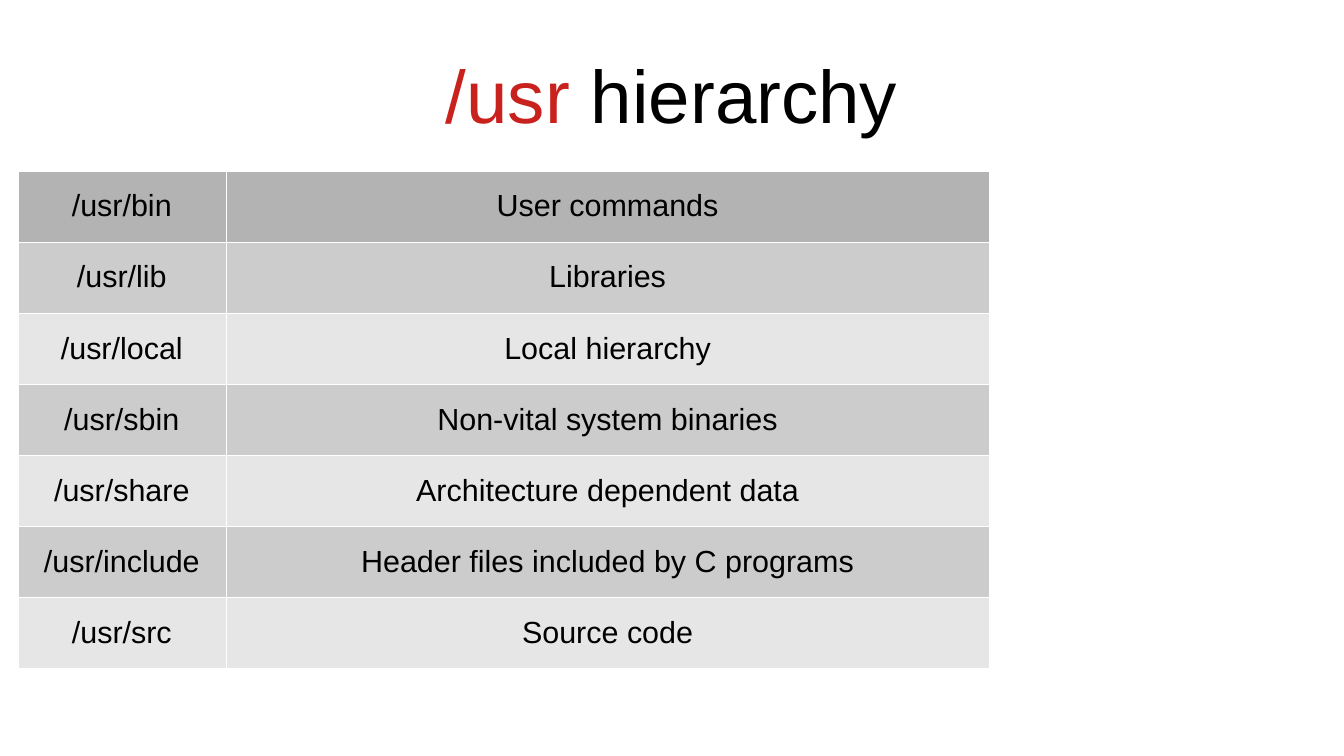
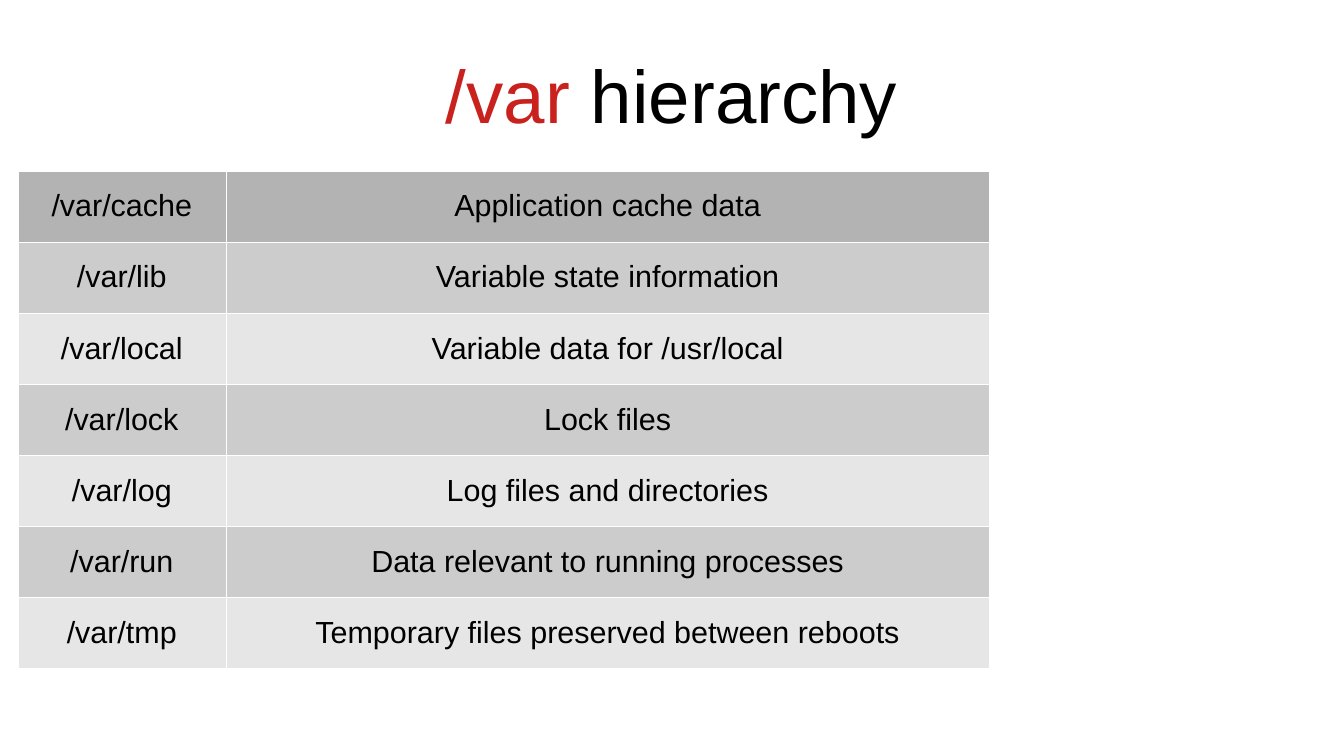
from dataclasses import dataclass
from typing import Any

from lxml.etree import SubElement
from pptx import Presentation
from pptx.dml.color import RGBColor
from pptx.enum.text import MSO_ANCHOR, PP_ALIGN
from pptx.oxml.ns import qn
from pptx.slide import Slide
from pptx.util import Pt

# Colours
RED = RGBColor(0xC9, 0x21, 0x1E)
BLACK = RGBColor(0, 0, 0)
WHITE = RGBColor(0xFF, 0xFF, 0xFF)
HEAD = RGBColor(0xB3, 0xB3, 0xB3)
BANDS = (RGBColor(0xE6, 0xE6, 0xE6), RGBColor(0xCC, 0xCC, 0xCC))

# Shared text formats and sizes
TITLE = {"name": "Arial", "size": Pt(44)}
BODY = {"name": "Arial", "size": Pt(18)}
INSETS = {"margin_left": Pt(7.2), "margin_right": Pt(7.2),
          "margin_top": Pt(3.6), "margin_bottom": Pt(3.6),
          "vertical_anchor": MSO_ANCHOR.MIDDLE}
FRAME = {"margin_left": 0, "margin_right": 0, "margin_top": 0,
         "margin_bottom": 0, "word_wrap": True,
         "vertical_anchor": MSO_ANCHOR.MIDDLE}
COLS = (Pt(123.1), Pt(450.7))
ROW = Pt(42)
LINE = Pt(0.06)


@dataclass(frozen=True)
class Page:
    root: str
    rows: tuple[tuple[str, str], ...]


PAGES = (
    Page("/usr", (
        ("bin", "User commands"),
        ("lib", "Libraries"),
        ("local", "Local hierarchy"),
        ("sbin", "Non-vital system binaries"),
        ("share", "Architecture dependent data"),
        ("include", "Header files included by C programs"),
        ("src", "Source code"),
    )),
    Page("/var", (
        ("cache", "Application cache data"),
        ("lib", "Variable state information"),
        ("local", "Variable data for /usr/local"),
        ("lock", "Lock files"),
        ("log", "Log files and directories"),
        ("run", "Data relevant to running processes"),
        ("tmp", "Temporary files preserved between reboots"),
    )),
)


def apply(item: Any, form: dict[str, Any]) -> None:
    for key, value in form.items():
        setattr(item, key, value)


def add_run(para: Any, text: str, form: dict[str, Any], tint: RGBColor) -> None:
    para.alignment = PP_ALIGN.CENTER
    run = para.add_run()
    run.text = text
    apply(run.font, form)
    run.font.color.rgb = tint


def add_title(slide: Slide, root: str) -> None:
    box = slide.shapes.add_textbox(Pt(39.6), Pt(18), Pt(714.2), Pt(74.9))
    apply(box.text_frame, FRAME)
    para = box.text_frame.paragraphs[0]
    add_run(para, root, TITLE, RED)
    add_run(para, " hierarchy", TITLE, BLACK)


def add_edges(cell: Any) -> None:
    props = cell._tc.get_or_add_tcPr()
    for side in ("lnL", "lnR", "lnT", "lnB"):
        line = SubElement(props, qn(f"a:{side}"), w=str(LINE))
        fill = SubElement(line, qn("a:solidFill"))
        SubElement(fill, qn("a:srgbClr"), val=str(WHITE))


def add_grid(slide: Slide, page: Page) -> None:
    count = len(page.rows)
    table = slide.shapes.add_table(count, len(COLS), Pt(10.4), Pt(100.8),
                                   sum(COLS), ROW * count).table
    apply(table, {"first_row": False, "horz_banding": False})
    for col, width in zip(table.columns, COLS):
        col.width = width
    for i, (name, note) in enumerate(page.rows):
        table.rows[i].height = ROW
        for j, text in enumerate((f"{page.root}/{name}", note)):
            cell = table.cell(i, j)
            apply(cell, INSETS)
            add_edges(cell)
            cell.fill.solid()
            cell.fill.fore_color.rgb = BANDS[i % 2] if i else HEAD
            add_run(cell.text_frame.paragraphs[0], text, BODY, BLACK)


def main() -> None:
    deck = Presentation()
    apply(deck, {"slide_width": Pt(793.7), "slide_height": Pt(446.4)})
    for page in PAGES:
        slide = deck.slides.add_slide(deck.slide_layouts[6])
        add_title(slide, page.root)
        add_grid(slide, page)
    deck.save("out.pptx")


if __name__ == "__main__":
    main()
